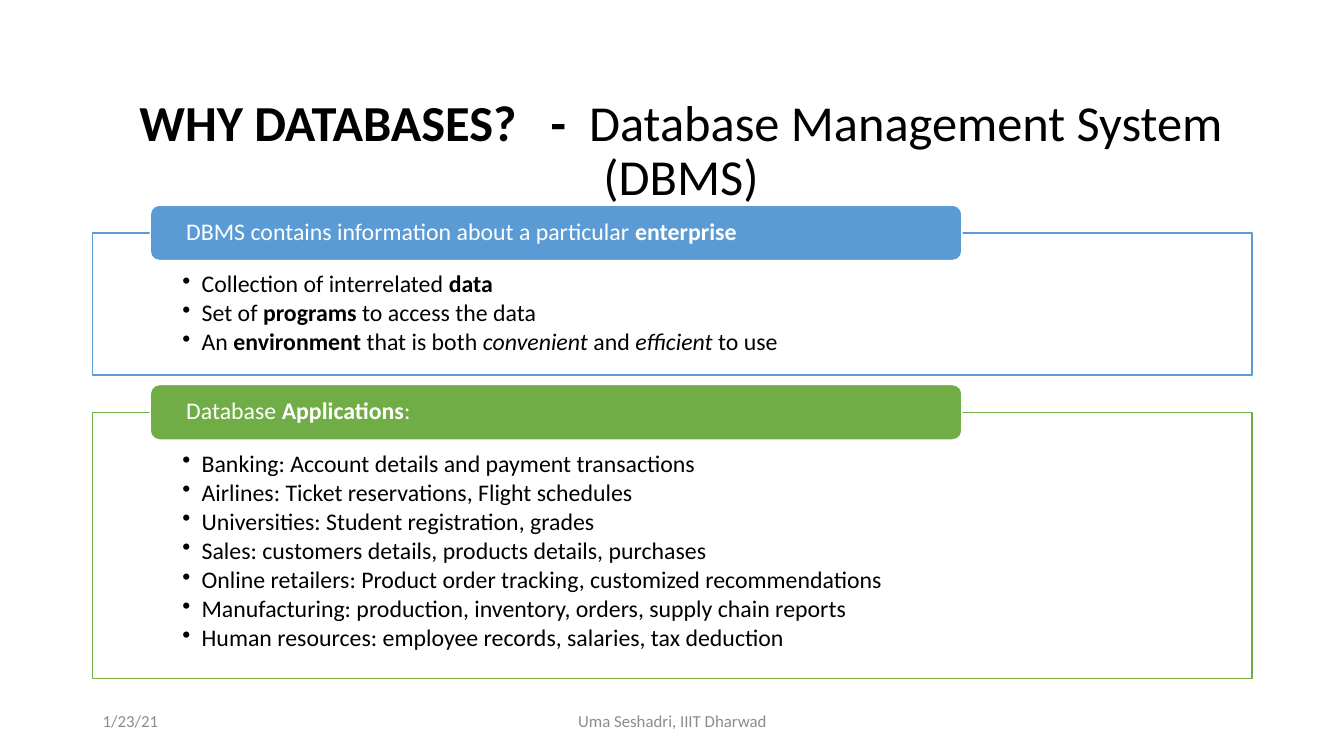
from lxml import etree
from pptx import Presentation
from pptx.dml.color import RGBColor
from pptx.enum.shapes import MSO_SHAPE
from pptx.enum.text import MSO_ANCHOR, PP_ALIGN
from pptx.oxml.ns import qn
from pptx.util import Inches, Pt

RECTANGLE, ROUNDED = MSO_SHAPE.RECTANGLE, MSO_SHAPE.ROUNDED_RECTANGLE
TOP, MIDDLE = MSO_ANCHOR.TOP, MSO_ANCHOR.MIDDLE
LEFT, CENTER = PP_ALIGN.LEFT, PP_ALIGN.CENTER

COLORS = {"white": "FFFFFF", "black": "000000", "gray": "8C8C8C",
          "blue": "5B9BD5", "green": "70AD47"}
FONT = "Calibri"
BODY_SIZE = 17
MARGIN, CONTENT_WIDTH = 0.92, 11.5
TAB_INDENT, TAB_WIDTH, TAB_HEIGHT = 0.57, 8.05, 0.55
BULLET_INDENT = 0.19

# Each line is a list of (text, style) spans; style is "", "b" or "i".
PANELS = [
    ("blue", 2.31, 1.41,
     [("DBMS contains information about a particular ", ""), ("enterprise", "b")],
     [[("Collection of interrelated ", ""), ("data", "b")],
      [("Set of ", ""), ("programs ", "b"), ("to access the data", "")],
      [("An ", ""), ("environment ", "b"), ("that is both ", ""),
       ("convenient ", "i"), ("and ", ""), ("efficient ", "i"), ("to use", "")]]),
    ("green", 4.09, 2.64,
     [("Database ", ""), ("Applications", "b"), (":", "")],
     [[(line, "")] for line in (
         "Banking: Account details and payment transactions",
         "Airlines: Ticket reservations, Flight schedules",
         "Universities: Student registration, grades",
         "Sales: customers details, products details, purchases",
         "Online retailers: Product order tracking, customized recommendations",
         "Manufacturing: production, inventory, orders, supply chain reports",
         "Human resources: employee records, salaries, tax deduction")]),
]


def color(name):
    return RGBColor.from_string(COLORS[name])


def add_bullet(para):
    properties = para._p.get_or_add_pPr()
    properties.set("marL", str(Inches(BULLET_INDENT)))
    properties.set("indent", str(-Inches(BULLET_INDENT)))
    etree.SubElement(properties, qn("a:buChar"), char="•")


def write_lines(box, lines, size, ink, insets=(0.1, 0.05, 0.1, 0.05),
                anchor=MIDDLE, align=LEFT, spacing=0.9, after=0, bullets=False):
    """Fill a box with lines of styled spans; insets are left, top, right, bottom."""
    frame = box.text_frame
    frame.word_wrap = True
    frame.vertical_anchor = anchor
    (frame.margin_left, frame.margin_top,
     frame.margin_right, frame.margin_bottom) = map(Inches, insets)
    for index, spans in enumerate(lines):
        para = frame.paragraphs[0] if index == 0 else frame.add_paragraph()
        para.alignment = align
        para.line_spacing = spacing
        para.space_after = Pt(after)
        if bullets:
            add_bullet(para)
        for text, style in spans:
            span = para.add_run()
            span.text = text
            span.font.name = FONT
            span.font.size = Pt(size)
            span.font.bold = style == "b"
            span.font.italic = style == "i"
            span.font.color.rgb = color(ink)


def add_text(page, left, top, width, height, spans, size, ink, **layout):
    box = page.shapes.add_textbox(*map(Inches, (left, top, width, height)))
    write_lines(box, [spans], size, ink, **layout)


def add_block(page, kind, left, top, width, height, fill, outline):
    block = page.shapes.add_shape(kind, *map(Inches, (left, top, width, height)))
    block.shadow.inherit = False
    block.fill.solid()
    block.fill.fore_color.rgb = color(fill)
    block.line.color.rgb = color(outline)
    block.line.width = Pt(1)
    return block


def add_panel(page, left, top, width, height, accent, heading, lines):
    """Outlined bullet list with a heading tab centred on its top edge."""
    panel = add_block(page, RECTANGLE, left, top, width, height, "white", accent)
    write_lines(panel, lines, BODY_SIZE, "black", (0.89, 0.39, 0.89, 0.13),
                anchor=TOP, after=2.4, bullets=True)
    tab = add_block(page, ROUNDED, left + TAB_INDENT, top - TAB_HEIGHT / 2,
                    TAB_WIDTH, TAB_HEIGHT, accent, "white")
    write_lines(tab, [heading], BODY_SIZE, "white", (0.33, 0, 0.33, 0))


def add_footer(page, top, height):
    for left, width, text, align in (
            (MARGIN, 3, "1/23/21", LEFT),
            (4.42, 4.5, "Uma Seshadri, IIIT Dharwad", CENTER)):
        add_text(page, left, top, width, height, [(text, "")], 12, "gray",
                 align=align, spacing=1.0)


def main():
    deck = Presentation()
    deck.slide_width, deck.slide_height = Inches(13.33), Inches(7.5)
    page = deck.slides.add_slide(deck.slide_layouts[6])
    add_text(page, 0.69, 0.89, 12.13, 1.24,
             [("WHY DATABASES?   -  ", "b"),
              ("Database Management System (DBMS)", "")],
             36, "black", align=CENTER)
    add_footer(page, 6.95, 0.4)
    for accent, top, height, heading, lines in PANELS:
        add_panel(page, MARGIN, top, CONTENT_WIDTH, height, accent, heading, lines)
    deck.save("out.pptx")


if __name__ == "__main__":
    main()
